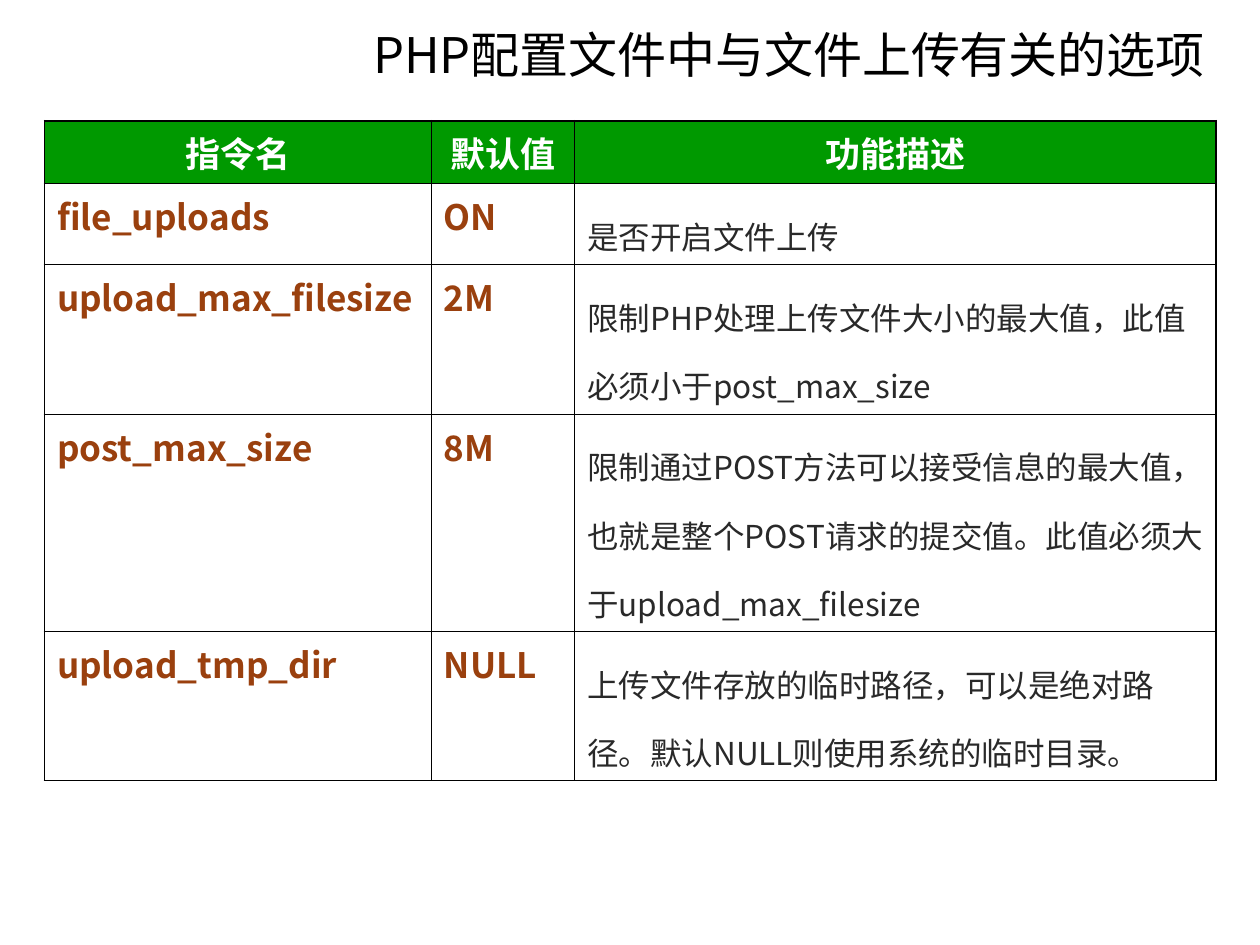
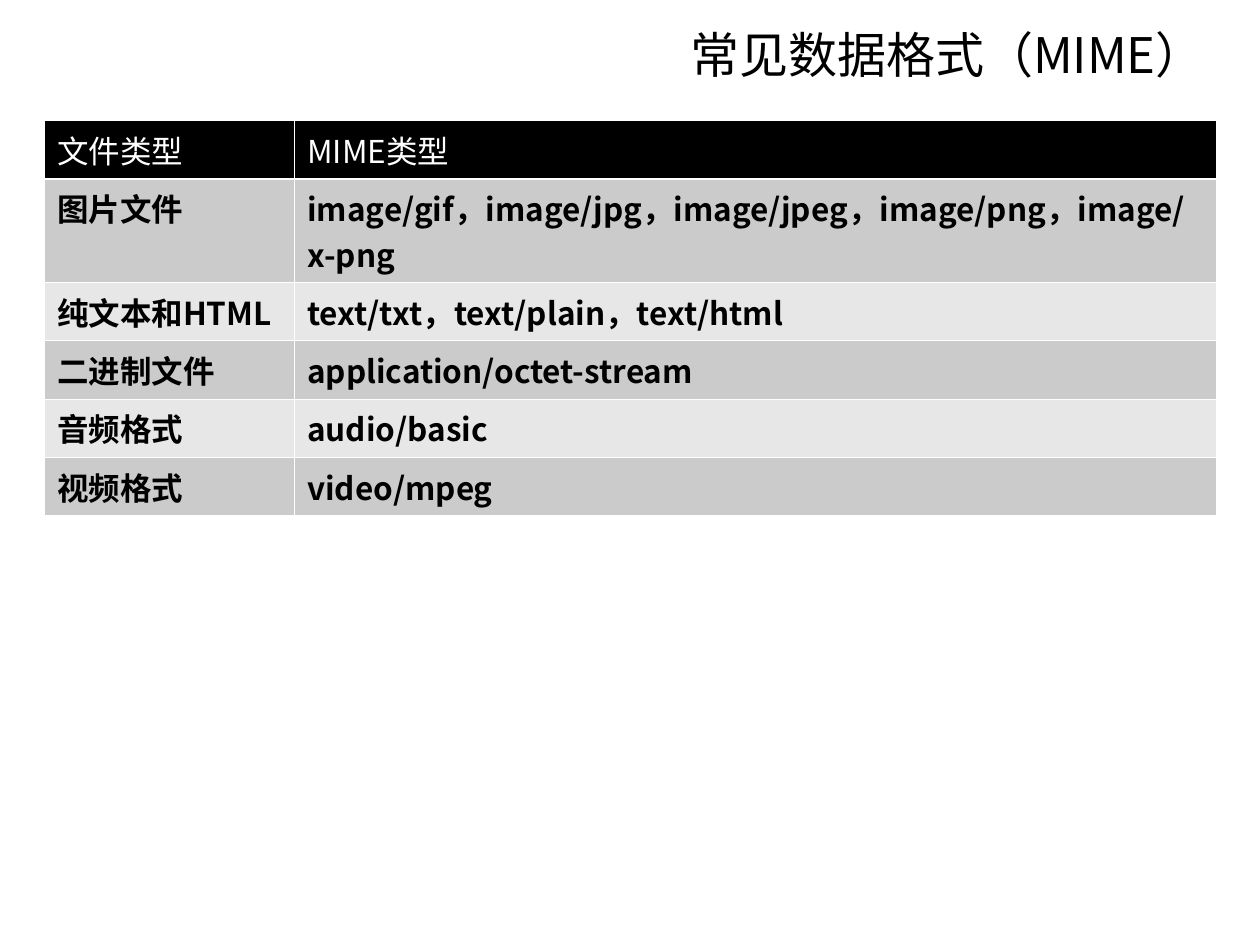
"""Build two slides with tables on PHP upload options and MIME types."""
from dataclasses import dataclass
from typing import Optional

from lxml import etree
from pptx import Presentation
from pptx import util as u
from pptx.dml.color import RGBColor
from pptx.enum import lang, text
from pptx.oxml import ns

FONT = "Noto Sans CJK SC"
BLACK = RGBColor(0x00, 0x00, 0x00)
WHITE = RGBColor(0xFF, 0xFF, 0xFF)
GREEN = RGBColor(0x00, 0x99, 0x00)
BROWN = RGBColor(0x9A, 0x40, 0x0E)
CHARCOAL = RGBColor(0x29, 0x29, 0x29)
MID_GREY = RGBColor(0xCB, 0xCB, 0xCB)
PALE_GREY = RGBColor(0xE7, 0xE7, 0xE7)

LEFT, RIGHT = text.PP_ALIGN.LEFT, text.PP_ALIGN.RIGHT
CENTER = text.PP_ALIGN.CENTER
HAIR, FRAME, HEADER_RULE = 0.45, 1.08, 1.47


@dataclass(frozen=True)
class TextStyle:
    """Look of a paragraph."""
    size: float
    color: RGBColor
    bold: bool = False
    align: text.PP_ALIGN = LEFT
    before: float = 0
    spacing: float = 1.0


@dataclass(frozen=True)
class TableSlide:
    """A title with a ruled table beneath it."""
    title: str
    rows: list[tuple[str, ...]]
    widths: list[float]
    heights: list[float]
    header: TextStyle
    body: list[TextStyle]
    header_fill: RGBColor
    bands: list[Optional[RGBColor]]
    line_color: RGBColor
    row_lines: list[float]
    column_lines: list[float]


TITLE = TextStyle(28, BLACK, align=RIGHT)
OPTION = TextStyle(20, BROWN, bold=True, before=5)
DESCRIPTION = TextStyle(18, CHARCOAL, before=4.5, spacing=1.5)
MIME = TextStyle(18, BLACK, bold=True)

SLIDES = [
    TableSlide(
        title="PHP配置文件中与文件上传有关的选项",
        rows=[
            ("指令名", "默认值", "功能描述"),
            ("file_uploads", "ON", "是否开启文件上传"),
            ("upload_max_filesize", "2M",
             "限制PHP处理上传文件大小的最大值，此值必须小于post_max_size"),
            ("post_max_size", "8M",
             "限制通过POST方法可以接受信息的最大值，也就是整个POST请求的提交值。"
             "此值必须大于upload_max_filesize"),
            ("upload_tmp_dir", "NULL",
             "上传文件存放的临时路径，可以是绝对路径。默认NULL则使用系统的临时目录。"),
        ],
        widths=[221, 82, 366.6],
        heights=[36, 46.3, 85.3, 124.3, 85.3],
        header=TextStyle(20, WHITE, bold=True, align=CENTER, before=5),
        body=[OPTION, OPTION, DESCRIPTION],
        header_fill=GREEN,
        bands=[None],
        line_color=BLACK,
        row_lines=[FRAME] + [HAIR] * 5,
        column_lines=[FRAME, HAIR, HAIR, FRAME],
    ),
    TableSlide(
        title="常见数据格式（MIME）",
        rows=[
            ("文件类型", "MIME类型"),
            ("图片文件", "image/gif，image/jpg，image/jpeg，image/png，image/x-png"),
            ("纯文本和HTML", "text/txt，text/plain，text/html"),
            ("二进制文件", "application/octet-stream"),
            ("音频格式", "audio/basic"),
            ("视频格式", "video/mpeg"),
        ],
        widths=[143, 526.6],
        heights=[33.3, 59.2] + [33.3] * 4,
        header=TextStyle(18, WHITE),
        body=[MIME, MIME],
        header_fill=BLACK,
        bands=[MID_GREY, PALE_GREY],
        line_color=WHITE,
        row_lines=[HAIR, HEADER_RULE] + [HAIR] * 5,
        column_lines=[HAIR] * 3,
    ),
]


def write(tf, words: str, style: TextStyle) -> None:
    """Put one styled paragraph in a text frame."""
    tf.text = words
    tf.word_wrap = True
    p = tf.paragraphs[0]
    p.alignment = style.align
    p.space_before = u.Pt(style.before)
    p.line_spacing = style.spacing
    p._p.get_or_add_pPr().set("hangingPunct", "0")
    for r in p.runs:
        r.font.name = FONT
        r.font.size = u.Pt(style.size)
        r.font.bold = style.bold
        r.font.color.rgb = style.color
        r.font.language_id = lang.MSO_LANGUAGE_ID.SIMPLIFIED_CHINESE
        ea = etree.SubElement(r.font._element, ns.qn("a:ea"))
        ea.set("typeface", FONT)


def rule_cell(cell, color: RGBColor, weights: dict[str, float]) -> None:
    """Draw the four borders of a cell."""
    props = cell._tc.get_or_add_tcPr()
    for side, weight in weights.items():
        ln = etree.SubElement(props, ns.qn(f"a:ln{side}"), w=str(u.Pt(weight)))
        fill = etree.SubElement(ln, ns.qn("a:solidFill"))
        etree.SubElement(fill, ns.qn("a:srgbClr"), val=str(color))


def add_title(s, words: str) -> None:
    """Add the right-aligned slide title."""
    sp = s.shapes.add_textbox(u.Pt(200), u.Pt(5.8), u.Pt(495.4), u.Pt(49.7))
    sp.text_frame.vertical_anchor = text.MSO_ANCHOR.MIDDLE
    write(sp.text_frame, words, TITLE)


def add_table(s, spec: TableSlide) -> None:
    """Add the table with its fills and rules."""
    table = s.shapes.add_table(
        len(spec.rows), len(spec.widths), u.Pt(25.4), u.Pt(69),
        u.Pt(sum(spec.widths)), u.Pt(sum(spec.heights))).table
    table.first_row = table.horz_banding = False
    for column, width in zip(table.columns, spec.widths):
        column.width = u.Pt(width)
    for i, (values, height) in enumerate(zip(spec.rows, spec.heights)):
        table.rows[i].height = u.Pt(height)
        band = spec.bands[(i - 1) % len(spec.bands)] if i else spec.header_fill
        for j, value in enumerate(values):
            cell = table.cell(i, j)
            write(cell.text_frame, value, spec.body[j] if i else spec.header)
            rule_cell(cell, spec.line_color, {
                "L": spec.column_lines[j], "R": spec.column_lines[j + 1],
                "T": spec.row_lines[i], "B": spec.row_lines[i + 1]})
            if band is None:
                cell.fill.background()
            else:
                cell.fill.solid()
                cell.fill.fore_color.rgb = band


def main() -> None:
    """Build and save the presentation."""
    prs = Presentation()
    prs.slide_width, prs.slide_height = u.Pt(720), u.Pt(540)
    for spec in SLIDES:
        s = prs.slides.add_slide(prs.slide_layouts[6])
        add_title(s, spec.title)
        add_table(s, spec)
    prs.save("out.pptx")


if __name__ == "__main__":
    main()
